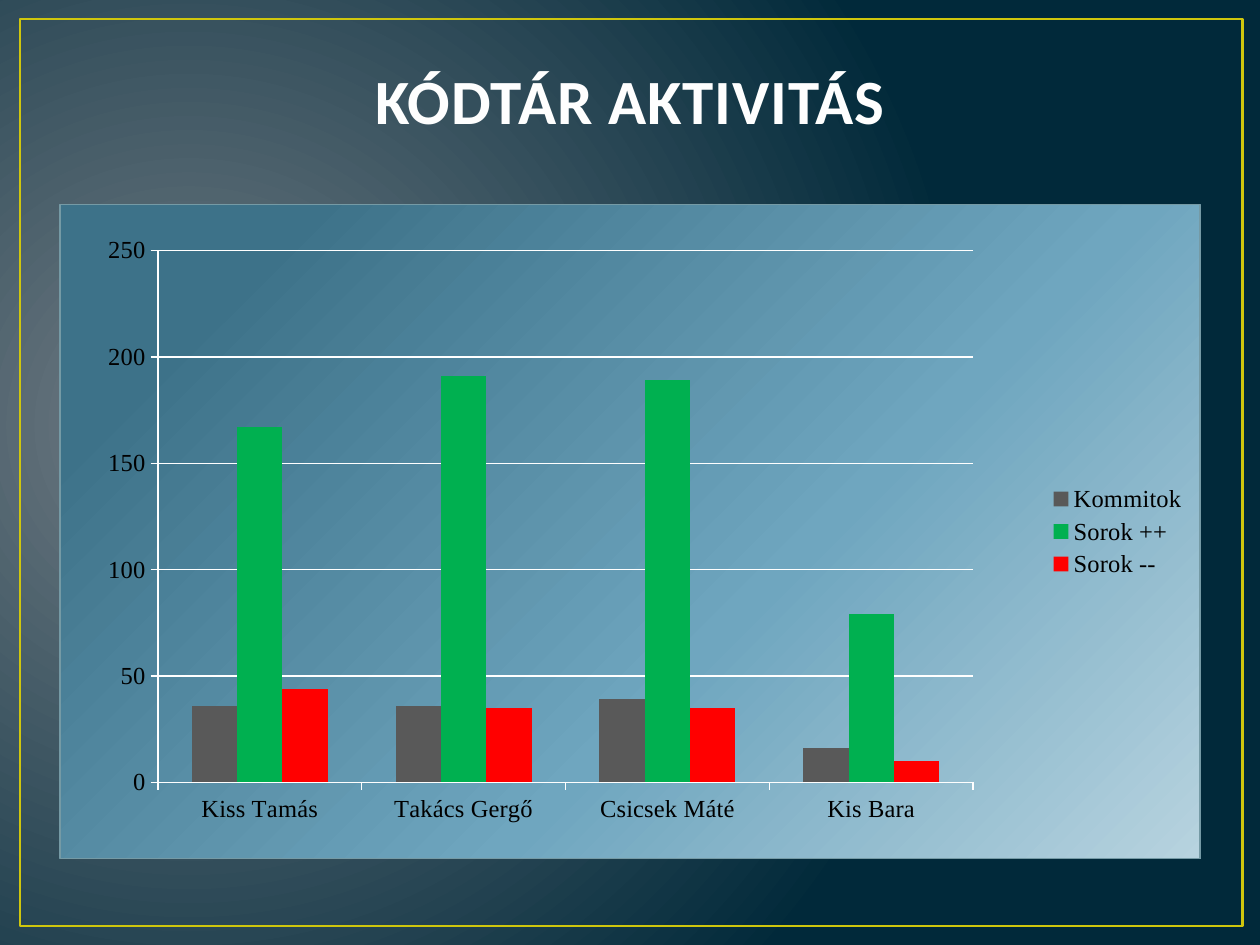
from lxml import etree
from pptx import Presentation
from pptx.chart.data import CategoryChartData
from pptx.dml.color import RGBColor
from pptx.enum.chart import XL_CHART_TYPE, XL_LEGEND_POSITION, XL_TICK_MARK
from pptx.enum.shapes import MSO_SHAPE
from pptx.enum.text import MSO_ANCHOR, MSO_AUTO_SIZE, PP_ALIGN
from pptx.oxml import parse_xml
from pptx.oxml.ns import nsdecls, qn
from pptx.util import Inches, Pt

COLUMNS = XL_CHART_TYPE.COLUMN_CLUSTERED
RIGHT = XL_LEGEND_POSITION.RIGHT
OUTSIDE = XL_TICK_MARK.OUTSIDE
RECTANGLE = MSO_SHAPE.RECTANGLE
BOTTOM = MSO_ANCHOR.BOTTOM
NO_AUTOFIT = MSO_AUTO_SIZE.NONE
CENTER = PP_ALIGN.CENTER
TITLE_ONLY = 5

COLORS = {
    "glow": "717C84",
    "night": "01293A",
    "frame": "CFC60D",
    "title": "FEFEFE",
    "title_edge": "384F55",
    "panel_dark": "3D7289",
    "panel_mid": "6FA6BF",
    "panel_light": "B7D3DF",
    "panel_edge": "759AA5",
    "axis": "FFFFFF",
    "label": "000000",
    "commits": "595959",
    "added": "00B050",
    "removed": "FF0000",
}
CATEGORIES = ["Kiss Tamás", "Takács Gergő", "Csicsek Máté", "Kis Bara"]
SERIES = [
    ("Kommitok", [36, 36, 39, 16], "commits"),
    ("Sorok ++", [167, 191, 189, 79], "added"),
    ("Sorok --", [44, 35, 35, 10], "removed"),
]


class SlideBuilder:
    title_font = "Calibri"
    chart_font = "Times New Roman"

    def __init__(self, presentation):
        self.width = presentation.slide_width
        self.height = presentation.slide_height
        self.slide = presentation.slides.add_slide(presentation.slide_layouts[TITLE_ONLY])

    def box(self, left, top, width, height):
        return (int(left * self.width), int(top * self.height),
                int(width * self.width), int(height * self.height))

    def color(self, name):
        return RGBColor.from_string(COLORS[name])

    def style_font(self, font, family, size, color, bold=False):
        font.name = family
        font.size = Pt(size)
        font.bold = bold
        font.color.rgb = self.color(color)

    def style_line(self, line, color, width):
        line.color.rgb = self.color(color)
        line.width = Pt(width)

    def gradient(self, stops, direction):
        stop_xml = "".join(
            f'<a:gs pos="{percent * 1000}"><a:srgbClr val="{COLORS[name]}"/></a:gs>'
            for percent, name in stops)
        return parse_xml(f'<a:gradFill {nsdecls("a")} rotWithShape="1">'
                         f'<a:gsLst>{stop_xml}</a:gsLst>{direction}</a:gradFill>')

    def outline(self, color, width):
        return parse_xml(f'<a:ln {nsdecls("a")} w="{Pt(width)}"><a:solidFill>'
                         f'<a:srgbClr val="{COLORS[color]}"/></a:solidFill></a:ln>')

    def background(self, stops, direction):
        self.slide.background.fill.solid()
        properties = self.slide.element.find(".//" + qn("p:bgPr"))
        properties.replace(properties.find(qn("a:solidFill")), self.gradient(stops, direction))

    def frame(self, *shares):
        shape = self.slide.shapes.add_shape(RECTANGLE, *self.box(*shares))
        shape.shadow.inherit = False
        shape.fill.background()
        self.style_line(shape.line, "frame", 1.5)

    def title(self, text, *shares):
        shape = self.slide.shapes.title
        shape.left, shape.top, shape.width, shape.height = self.box(*shares)
        text_frame = shape.text_frame
        text_frame.text = text
        text_frame.auto_size = NO_AUTOFIT
        text_frame.vertical_anchor = BOTTOM
        paragraph = text_frame.paragraphs[0]
        paragraph.alignment = CENTER
        font = paragraph.runs[0].font
        self.style_font(font, self.title_font, 36, "title", bold=True)
        properties = paragraph.runs[0]._r.get_or_add_rPr()
        properties.set("spc", "50")
        properties.insert(0, self.outline("title_edge", 1.05))

    def chart(self, categories, series, plot_area, *shares):
        data = CategoryChartData()
        data.categories = categories
        for name, values, _ in series:
            data.add_series(name, values)
        chart = self.slide.shapes.add_chart(COLUMNS, *self.box(*shares), data).chart
        chart.has_title = False
        self.style_font(chart.font, self.chart_font, 14, "label")
        plot = chart.plots[0]
        plot.gap_width = 150
        plot.overlap = 0
        plot.vary_by_categories = False
        for column, (_, _, color) in zip(plot.series, series):
            column.format.fill.solid()
            column.format.fill.fore_color.rgb = self.color(color)
        for axis in (chart.category_axis, chart.value_axis):
            axis.major_tick_mark = OUTSIDE
            self.style_font(axis.tick_labels.font, self.chart_font, 14, "label")
            self.style_line(axis.format.line, "axis", 0.75)
        chart.value_axis.minimum_scale = 0
        chart.value_axis.maximum_scale = 250
        chart.value_axis.major_unit = 50
        self.style_line(chart.value_axis.major_gridlines.format.line, "axis", 0.75)
        chart.has_legend = True
        chart.legend.position = RIGHT
        chart.legend.include_in_layout = False
        self.style_font(chart.legend.font, self.chart_font, 14, "label")
        self.place_plot(chart, plot_area)
        self.fill_panel(chart)

    def place_plot(self, chart, plot_area):
        area = chart.element.find(".//" + qn("c:plotArea"))
        for layout in area.findall(qn("c:layout")):
            area.remove(layout)
        layout = etree.Element(qn("c:layout"))
        manual = etree.SubElement(layout, qn("c:manualLayout"))
        settings = [("layoutTarget", "inner"), ("xMode", "edge"), ("yMode", "edge")]
        for tag, value in settings + list(zip("xywh", plot_area)):
            etree.SubElement(manual, qn("c:" + tag)).set("val", str(value))
        area.insert(0, layout)

    def fill_panel(self, chart):
        panel = parse_xml(f'<c:spPr {nsdecls("c", "a")}/>')
        stops = [(14, "panel_dark"), (61, "panel_mid"), (100, "panel_light")]
        panel.append(self.gradient(stops, '<a:lin ang="2700000" scaled="0"/>'))
        panel.append(self.outline("panel_edge", 0.75))
        chart.element.find(qn("c:chart")).addnext(panel)


def main():
    presentation = Presentation()
    presentation.slide_width = Inches(10)
    presentation.slide_height = Inches(7.5)
    builder = SlideBuilder(presentation)
    builder.background(
        [(0, "glow"), (100, "night")],
        '<a:path path="circle">'
        '<a:fillToRect l="15000" t="50000" r="85000" b="60000"/></a:path>')
    builder.frame(0.016, 0.02, 0.97, 0.96)
    builder.title("KÓDTÁR AKTIVITÁS", 0.05, 0.039, 0.9, 0.113)
    builder.chart(CATEGORIES, SERIES, (0.086, 0.07, 0.715, 0.814),
                  0.047, 0.216, 0.906, 0.693)
    presentation.save("out.pptx")


if __name__ == "__main__":
    main()
